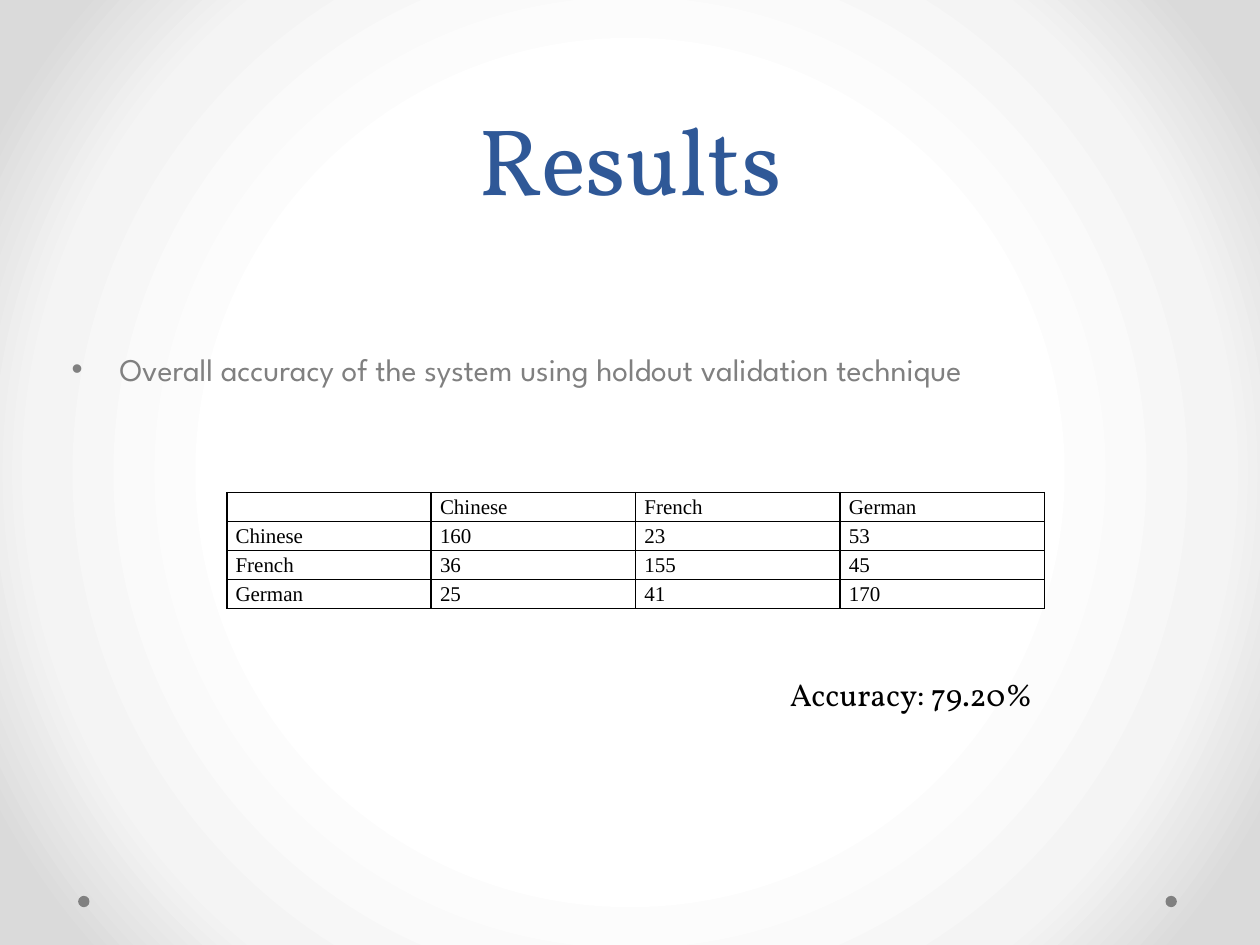
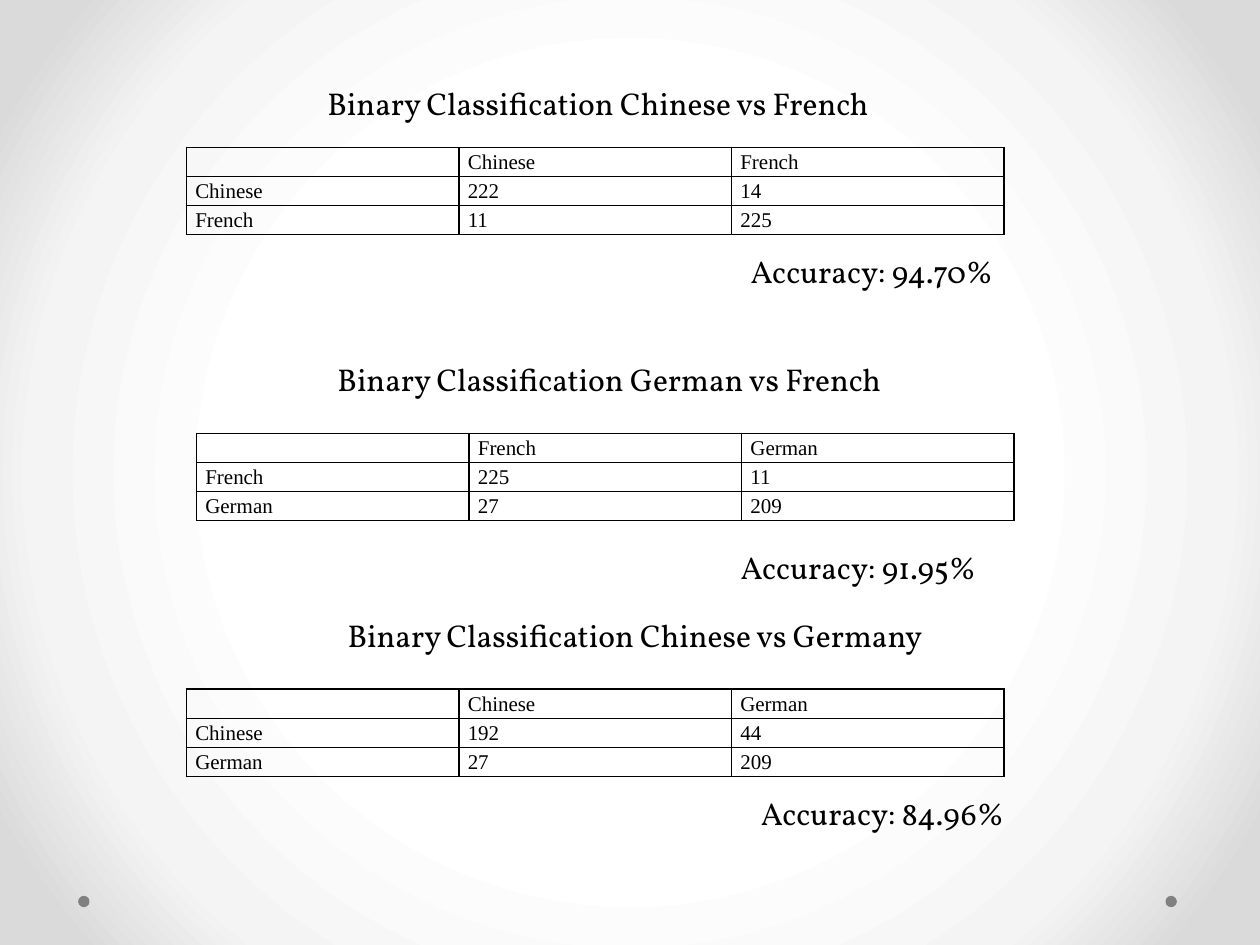
import dataclasses

import lxml.etree
import pptx
import pptx.dml.color
import pptx.enum.shapes
import pptx.enum.text
import pptx.oxml
import pptx.oxml.ns
import pptx.util

Inches = pptx.util.Inches
Pt = pptx.util.Pt
qn = pptx.oxml.ns.qn


@dataclasses.dataclass(frozen=True)
class Theme:
    title_font: str = "Vollkorn"
    body_font: str = "League Spartan"
    table_font: str = "Times New Roman"
    title_color: str = "2F5897"
    muted: str = "808080"
    ink: str = "000000"
    background_stops: tuple = ((50, "FFFFFF"), (76, "F4F4F4"), (92, "DADADA"))
    title_size: int = 54
    text_size: int = 18
    table_size: int = 12
    border_width: int = 1


THEME = Theme()
TABLE_WIDTH = 6.49
ROW_HEIGHT = 0.21
LABEL_HEIGHT = 0.4

OVERALL_RESULTS = [
    ["", "Chinese", "French", "German"],
    ["Chinese", "160", "23", "53"],
    ["French", "36", "155", "45"],
    ["German", "25", "41", "170"],
]

# Each: heading (text, left, top, width), table (left, top, rows),
# accuracy (text, left, top)
BINARY_RESULTS = [
    (("Binary Classification Chinese vs French", 2.5, 0.62, 4.61),
     (1.48, 1.17, [["", "Chinese", "French"],
                   ["Chinese", "222", "14"],
                   ["French", "11", "225"]]),
     ("Accuracy: 94.70%", 5.86, 1.95)),
    (("Binary Classification German vs French", 2.58, 2.81, 4.63),
     (1.56, 3.44, [["", "French", "German"],
                   ["French", "225", "11"],
                   ["German", "27", "209"]]),
     ("Accuracy: 91.95%", 5.78, 4.3)),
    (("Binary Classification Chinese vs Germany", 2.66, 4.84, 4.89),
     (1.48, 5.47, [["", "Chinese", "German"],
                   ["Chinese", "192", "44"],
                   ["German", "27", "209"]]),
     ("Accuracy: 84.96%", 5.94, 6.25)),
]


def set_font(paragraph, name, size, color):
    paragraph.font.name = name
    paragraph.font.size = Pt(size)
    paragraph.font.color.rgb = pptx.dml.color.RGBColor.from_string(color)


def set_background(master):
    """Fill the master with a radial gradient, light in the middle."""
    master.background.fill.gradient()
    gradient = next(master.element.iter(qn("a:gradFill")))
    for child in list(gradient):
        gradient.remove(child)
    stops = lxml.etree.SubElement(gradient, qn("a:gsLst"))
    for position, color in THEME.background_stops:
        stop = lxml.etree.SubElement(stops, qn("a:gs"), pos=str(position * 1000))
        lxml.etree.SubElement(stop, qn("a:srgbClr"), val=color)
    circle = lxml.etree.SubElement(gradient, qn("a:path"), path="circle")
    lxml.etree.SubElement(circle, qn("a:fillToRect"),
                          {side: "50000" for side in "ltrb"})


def add_base_slide(presentation):
    """Add a blank slide with the two footer dots."""
    slide = presentation.slides.add_slide(presentation.slide_layouts[6])
    for left in (9.25, 0.62):
        dot = slide.shapes.add_shape(
            pptx.enum.shapes.MSO_SHAPE.OVAL,
            Inches(left), Inches(7.11), Inches(0.09), Inches(0.09))
        dot.shadow.inherit = False
        dot.fill.solid()
        dot.fill.fore_color.rgb = pptx.dml.color.RGBColor.from_string(THEME.muted)
        dot.line.fill.background()
    return slide


def add_text(slide, text, left, top, width, height, font, size, color):
    shape = slide.shapes.add_textbox(
        Inches(left), Inches(top), Inches(width), Inches(height))
    shape.text_frame.word_wrap = True
    paragraph = shape.text_frame.paragraphs[0]
    paragraph.text = text
    set_font(paragraph, font, size, color)
    return shape


def add_title(slide, text):
    shape = add_text(slide, text, 0.5, 0, 9, 1.75,
                     THEME.title_font, THEME.title_size, THEME.title_color)
    shape.text_frame.vertical_anchor = pptx.enum.text.MSO_ANCHOR.BOTTOM
    paragraph = shape.text_frame.paragraphs[0]
    paragraph.alignment = pptx.enum.text.PP_ALIGN.CENTER
    paragraph.line_spacing = Pt(58)


def add_bullet(slide, text, left, top, width, height):
    shape = add_text(slide, text, left, top, width, height,
                     THEME.body_font, THEME.text_size, THEME.muted)
    paragraph = shape.text_frame.paragraphs[0]
    paragraph.space_before = Pt(3.6)
    properties = paragraph._p.get_or_add_pPr()
    properties.set("marL", str(Inches(0.38)))
    properties.set("indent", str(Inches(-0.38)))
    bullet_font = lxml.etree.Element(qn("a:buFont"), typeface="Arial")
    bullet = lxml.etree.Element(qn("a:buChar"), char="•")
    properties.find(qn("a:defRPr")).addprevious(bullet_font)
    bullet_font.addnext(bullet)


def add_label(slide, text, left, top, width=2.16, wrap=False):
    shape = add_text(slide, text, left, top, width, LABEL_HEIGHT,
                     THEME.title_font, THEME.text_size, THEME.ink)
    shape.text_frame.word_wrap = wrap
    shape.text_frame.auto_size = pptx.enum.text.MSO_AUTO_SIZE.SHAPE_TO_FIT_TEXT


def set_borders(cell):
    properties = cell._tc.get_or_add_tcPr()
    for index, side in enumerate(("a:lnL", "a:lnR", "a:lnT", "a:lnB")):
        line = lxml.etree.Element(qn(side), w=str(Pt(THEME.border_width)))
        fill = lxml.etree.SubElement(line, qn("a:solidFill"))
        lxml.etree.SubElement(fill, qn("a:srgbClr"), val=THEME.ink)
        properties.insert(index, line)


def add_confusion_table(slide, left, top, rows):
    column_count = len(rows[0])
    table = slide.shapes.add_table(
        len(rows), column_count, Inches(left), Inches(top),
        Inches(TABLE_WIDTH), Inches(ROW_HEIGHT * len(rows))).table
    table.first_row = False
    table.horz_banding = False
    for row_index, values in enumerate(rows):
        for column_index, value in enumerate(values):
            cell = table.cell(row_index, column_index)
            cell.margin_left = cell.margin_right = Inches(0.07)
            cell.margin_top = cell.margin_bottom = 0
            cell.fill.background()
            set_borders(cell)
            paragraph = cell.text_frame.paragraphs[0]
            paragraph.line_spacing = 1.15
            paragraph.space_after = Pt(10)
            paragraph.text = value
            set_font(paragraph, THEME.table_font, THEME.table_size, THEME.ink)
            if not value:
                # An empty cell takes its row height from the end mark
                lxml.etree.SubElement(paragraph._p, qn("a:endParaRPr"),
                                      sz=str(THEME.table_size * 100))


def build_overall_slide(presentation):
    slide = add_base_slide(presentation)
    add_title(slide, "Results")
    add_bullet(slide,
               "Overall accuracy of the system using holdout validation technique",
               0.47, 2.73, 8.95, 0.52)
    add_confusion_table(slide, 1.8, 3.91, OVERALL_RESULTS)
    add_label(slide, "Accuracy: 79.20%", 6.17, 5.31, 2.42, wrap=True)


def build_binary_slide(presentation):
    slide = add_base_slide(presentation)
    for heading, table, accuracy in BINARY_RESULTS:
        add_label(slide, *heading)
        add_confusion_table(slide, *table)
        add_label(slide, *accuracy)


def main():
    presentation = pptx.Presentation()
    presentation.slide_width = Inches(10)
    presentation.slide_height = Inches(7.5)
    set_background(presentation.slide_master)
    build_overall_slide(presentation)
    build_binary_slide(presentation)
    presentation.save("out.pptx")


if __name__ == "__main__":
    main()
